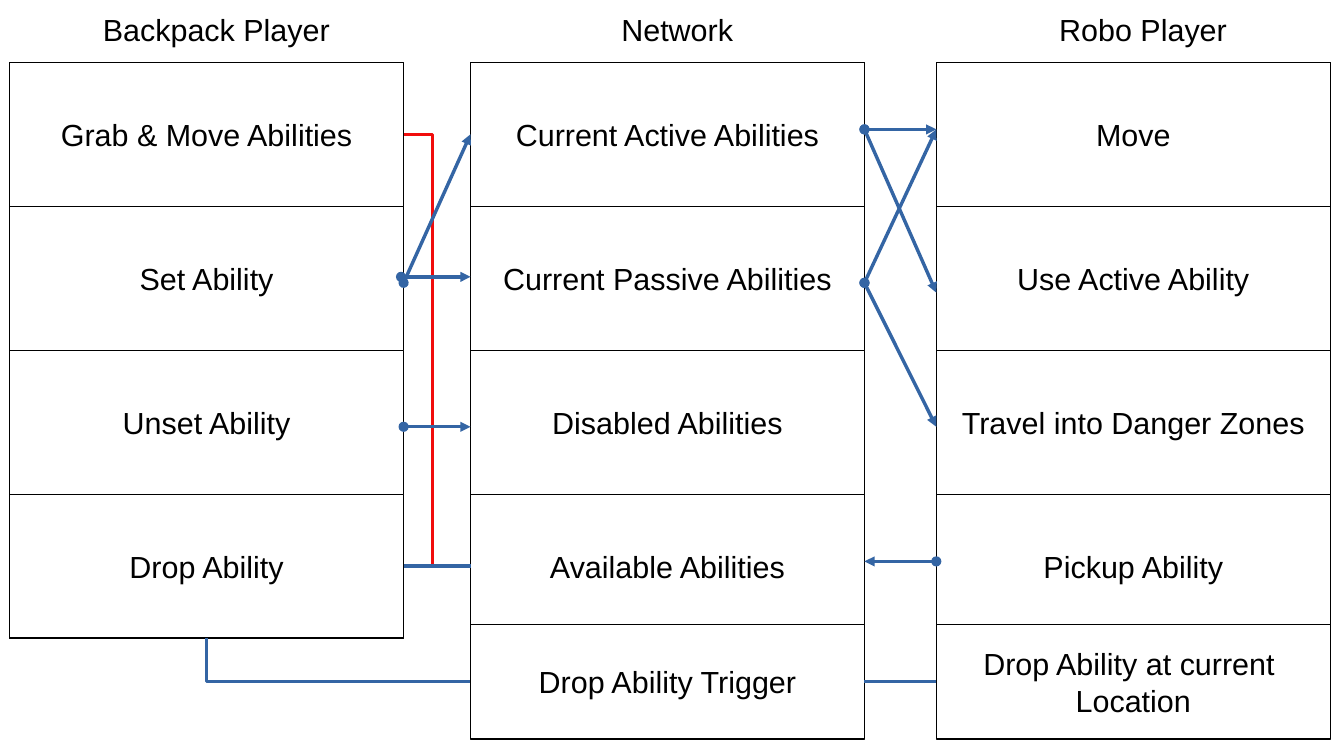
from dataclasses import dataclass
from typing import Optional

import lxml.etree
import pptx
import pptx.dml.color
import pptx.enum.shapes
import pptx.enum.text
import pptx.oxml.ns
import pptx.util

Pt = pptx.util.Pt
qn = pptx.oxml.ns.qn
RGBColor = pptx.dml.color.RGBColor
CONNECTOR = pptx.enum.shapes.MSO_CONNECTOR

BLACK = RGBColor(0x00, 0x00, 0x00)
WHITE = RGBColor(0xFF, 0xFF, 0xFF)
BLUE = RGBColor(0x34, 0x65, 0xA4)
RED = RGBColor(0xF1, 0x0D, 0x0C)

COLUMN_TOP, COLUMN_WIDTH, ROW_HEIGHT = 36.8, 232.6, 85
TRIGGER_TOP, TRIGGER_HEIGHT = 368.6, 67.8
BACKPACK_LEFT, NETWORK_LEFT, ROBO_LEFT = 5.7, 277.8, 552.8
BACKPACK_RIGHT = BACKPACK_LEFT + COLUMN_WIDTH
NETWORK_RIGHT = NETWORK_LEFT + COLUMN_WIDTH
LEFT_SIDE, RIGHT_SIDE = 1, 3


@dataclass(frozen=True)
class Column:
    heading: str
    left: float
    abilities: tuple[str, ...]
    trigger: str = ""


@dataclass(frozen=True)
class Link:
    start: tuple[float, float]
    end: tuple[float, float]
    begin_cell: Optional[str] = None
    end_cell: Optional[str] = None
    arrow: bool = True


COLUMNS = (
    Column("Backpack Player", BACKPACK_LEFT,
           ("Grab & Move Abilities", "Set Ability", "Unset Ability", "Drop Ability")),
    Column("Robo Player", ROBO_LEFT,
           ("Move", "Use Active Ability", "Travel into Danger Zones", "Pickup Ability"),
           "Drop Ability at current \nLocation"),
    Column("Network", NETWORK_LEFT,
           ("Current Active Abilities", "Current Passive Abilities",
            "Disabled Abilities", "Available Abilities"),
           "Drop Ability Trigger"),
)


def row_middle(row: int) -> float:
    return COLUMN_TOP + (row + 0.5) * ROW_HEIGHT


TRIGGER_MIDDLE = TRIGGER_TOP + TRIGGER_HEIGHT / 2

LINKS = (
    Link((BACKPACK_RIGHT, 167), (NETWORK_LEFT, row_middle(0)),
         end_cell="Current Active Abilities"),
    Link((236.8, 163.5), (NETWORK_LEFT, 163.5)),
    Link((BACKPACK_RIGHT, 252), (NETWORK_LEFT, 252)),
    Link((BACKPACK_RIGHT, row_middle(3)), (NETWORK_LEFT, row_middle(3)),
         "Drop Ability", "Available Abilities", arrow=False),
    Link((NETWORK_RIGHT, 167), (ROBO_LEFT, 76.4)),
    Link((NETWORK_RIGHT, 76.4), (ROBO_LEFT, 76.4)),
    Link((NETWORK_RIGHT, 167), (ROBO_LEFT, 252)),
    Link((NETWORK_RIGHT, 76.4), (ROBO_LEFT, 172.8)),
    Link((ROBO_LEFT, 331.5), (NETWORK_RIGHT, 331.5)),
    Link((NETWORK_RIGHT, TRIGGER_MIDDLE), (ROBO_LEFT, TRIGGER_MIDDLE),
         "Drop Ability Trigger", "Drop Ability at current \nLocation", arrow=False),
)


def write(frame: pptx.text.text.TextFrame, text: str) -> None:
    frame.margin_left = frame.margin_right = Pt(7.2)
    frame.margin_top = frame.margin_bottom = Pt(3.6)
    frame.text = text
    for paragraph in frame.paragraphs:
        paragraph.alignment = pptx.enum.text.PP_ALIGN.CENTER
        paragraph.font.name = "Arial"
        paragraph.font.size = Pt(18)
        paragraph.font.color.rgb = BLACK


def draw_cell(shapes: pptx.shapes.shapetree.SlideShapes, left: float, top: float,
              height: float, label: str = "") -> pptx.shapes.autoshape.Shape:
    cell = shapes.add_shape(pptx.enum.shapes.MSO_SHAPE.RECTANGLE,
                            Pt(left), Pt(top), Pt(COLUMN_WIDTH), Pt(height))
    cell.shadow.inherit = False
    cell.fill.solid()
    cell.fill.fore_color.rgb = WHITE
    cell.line.color.rgb = BLACK
    cell.line.width = Pt(0)
    if label:
        write(cell.text_frame, label)
        cell.text_frame.word_wrap = False
        cell.text_frame.vertical_anchor = pptx.enum.text.MSO_ANCHOR.MIDDLE
    return cell


def draw_column(shapes: pptx.shapes.shapetree.SlideShapes,
                column: Column) -> dict[str, pptx.shapes.autoshape.Shape]:
    draw_cell(shapes, column.left, COLUMN_TOP, ROW_HEIGHT * len(column.abilities))
    heading = shapes.add_textbox(Pt(column.left + 2.9), Pt(2.9), Pt(238.3), Pt(27.4))
    write(heading.text_frame, column.heading)
    heading.text_frame.word_wrap = True
    heading.text_frame.auto_size = pptx.enum.text.MSO_AUTO_SIZE.SHAPE_TO_FIT_TEXT
    cells = {
        ability: draw_cell(shapes, column.left, COLUMN_TOP + row * ROW_HEIGHT,
                           ROW_HEIGHT, ability)
        for row, ability in enumerate(column.abilities)
    }
    if column.trigger:
        cells[column.trigger] = draw_cell(shapes, column.left, TRIGGER_TOP,
                                          TRIGGER_HEIGHT, column.trigger)
    return cells


def draw_connector(shapes: pptx.shapes.shapetree.SlideShapes, kind: CONNECTOR,
                   start: tuple[float, float], end: tuple[float, float],
                   color: RGBColor = BLUE) -> pptx.shapes.connector.Connector:
    connector = shapes.add_connector(kind, *map(Pt, start + end))
    connector.line.color.rgb = color
    connector.line.width = Pt(0)
    lxml.etree.SubElement(connector._element.spPr, qn("a:effectLst"))
    return connector


def draw_link(shapes: pptx.shapes.shapetree.SlideShapes, link: Link,
              cells: dict[str, pptx.shapes.autoshape.Shape]) -> None:
    connector = draw_connector(shapes, CONNECTOR.STRAIGHT, link.start, link.end)
    if link.begin_cell:
        connector.begin_connect(cells[link.begin_cell], RIGHT_SIDE)
    if link.end_cell:
        connector.end_connect(cells[link.end_cell], LEFT_SIDE)
    if link.arrow:
        line = connector._element.spPr.find(qn("a:ln"))
        for tag, style in (("a:headEnd", "oval"), ("a:tailEnd", "triangle")):
            lxml.etree.SubElement(line, qn(tag), type=style)


def draw_grab_elbow(shapes: pptx.shapes.shapetree.SlideShapes) -> None:
    elbow = draw_connector(shapes, CONNECTOR.ELBOW, (BACKPACK_RIGHT, row_middle(0)),
                           (NETWORK_LEFT, row_middle(3)), RED)
    geometry = elbow._element.spPr.find(qn("a:prstGeom"))
    guides = geometry.find(qn("a:avLst"))
    if guides is None:
        guides = lxml.etree.SubElement(geometry, qn("a:avLst"))
    lxml.etree.SubElement(guides, qn("a:gd"), name="adj1", fmla="val 42900")


def draw_drop_elbow(shapes: pptx.shapes.shapetree.SlideShapes) -> None:
    start_x = BACKPACK_LEFT + COLUMN_WIDTH / 2
    start_y = COLUMN_TOP + 4 * ROW_HEIGHT
    middle_x, middle_y = (start_x + NETWORK_LEFT) / 2, (start_y + TRIGGER_MIDDLE) / 2
    half_run, half_drop = (NETWORK_LEFT - start_x) / 2, (TRIGGER_MIDDLE - start_y) / 2
    elbow = draw_connector(shapes, CONNECTOR.ELBOW,
                           (middle_x + half_drop, middle_y - half_run),
                           (middle_x - half_drop, middle_y + half_run))
    properties = elbow._element.spPr
    properties.find(qn("a:xfrm")).set("rot", str(270 * 60000))
    properties.find(qn("a:prstGeom")).set("prst", "bentConnector2")


def main() -> None:
    presentation = pptx.Presentation()
    presentation.slide_width, presentation.slide_height = Pt(793.5), Pt(446.4)
    shapes = presentation.slides.add_slide(presentation.slide_layouts[6]).shapes
    cells: dict[str, pptx.shapes.autoshape.Shape] = {}
    for column in COLUMNS:
        cells.update(draw_column(shapes, column))
    draw_grab_elbow(shapes)
    for link in LINKS:
        draw_link(shapes, link, cells)
    draw_drop_elbow(shapes)
    presentation.save("out.pptx")


if __name__ == "__main__":
    main()
